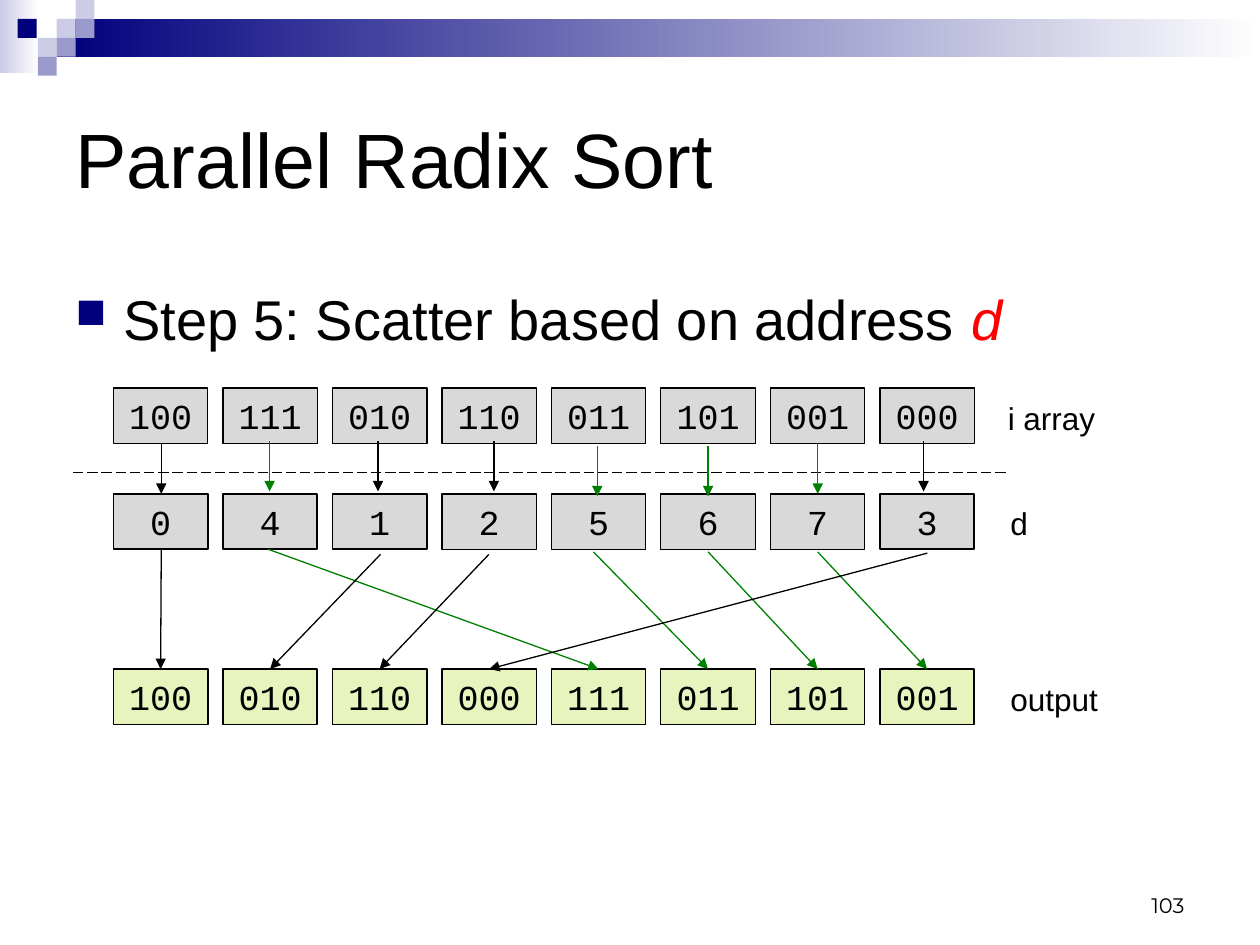
from lxml import etree
from pptx import Presentation
from pptx.dml.color import RGBColor
from pptx.enum.dml import MSO_LINE
from pptx.enum.shapes import MSO_CONNECTOR, MSO_SHAPE
from pptx.enum.text import MSO_ANCHOR, MSO_AUTO_SIZE, PP_ALIGN
from pptx.oxml.ns import qn
from pptx.util import Inches, Pt


def rgb(value):
    return RGBColor.from_string(value)


def add_line(x1, y1, x2, y2, color, arrow=True):
    line = slide.shapes.add_connector(
        MSO_CONNECTOR.STRAIGHT, Inches(x1), Inches(y1), Inches(x2), Inches(y2))
    line.line.color.rgb = rgb(color)
    line.line.width = Pt(0.75)
    if arrow:
        etree.SubElement(line.line._get_or_add_ln(), qn("a:tailEnd"), type="triangle")
    else:
        line.line.dash_style = MSO_LINE.LONG_DASH
    etree.SubElement(line._element.spPr, qn("a:effectLst"))


BLACK, GREEN, NAVY, LILAC, VIOLET = "000000", "008000", "00007D", "CCCCE6", "9999CC"
GRAY, LIME = "D9D9D9", "E7F4BE"

presentation = Presentation()
presentation.slide_width = Inches(10)
presentation.slide_height = Inches(7.5)
slide = presentation.slides.add_slide(presentation.slide_layouts[5])

# Header decoration: two gradient bars and a cluster of small squares
decorations = [
    (0, 0, 0.31, 0.58, LILAC, True),
    (0.45, 0.15, 9.55, 0.3, NAVY, True),
]
for left, top, color in [
    (0.45, 0.15, LILAC), (0.6, 0, LILAC), (0.6, 0.15, VIOLET), (0.3, 0.3, LILAC),
    (0.14, 0.15, NAVY), (0.45, 0.3, VIOLET), (0.3, 0.45, VIOLET),
]:
    decorations.append((left, top, 0.15, 0.15, color, False))
for left, top, width, height, color, fades in decorations:
    shape = slide.shapes.add_shape(
        MSO_SHAPE.RECTANGLE, Inches(left), Inches(top), Inches(width), Inches(height))
    shape.shadow.inherit = False
    shape.line.fill.background()
    if fades:
        shape.fill.gradient()
        shape.fill.gradient_angle = 0
        for stop, stop_color in zip(shape.fill.gradient_stops, (color, "FFFFFF")):
            stop.color.rgb = rgb(stop_color)
    else:
        shape.fill.solid()
        shape.fill.fore_color.rgb = rgb(color)

title = slide.shapes.title
title.left, title.top, title.width, title.height = (
    Inches(0.5), Inches(0.5), Inches(9), Inches(1.5))
title.text_frame.text = "Parallel Radix Sort"
title.text_frame.vertical_anchor = MSO_ANCHOR.MIDDLE
paragraph = title.text_frame.paragraphs[0]
paragraph.alignment = PP_ALIGN.LEFT
paragraph.font.name = "Arial"
paragraph.font.size = Pt(44)
paragraph.font.color.rgb = rgb(BLACK)

# Bulleted step
step = slide.shapes.add_textbox(Inches(0.5), Inches(2.17), Inches(9), Inches(0.67))
step.text_frame.word_wrap = True
step.text_frame.margin_top = Inches(0.09)
paragraph = step.text_frame.paragraphs[0]
properties = paragraph._p.get_or_add_pPr()
properties.set("marL", str(Inches(0.38)))
properties.set("indent", str(-Inches(0.38)))
bullet_color = etree.SubElement(properties, qn("a:buClr"))
etree.SubElement(bullet_color, qn("a:srgbClr"), val=NAVY)
etree.SubElement(properties, qn("a:buSzPct"), val="75000")
etree.SubElement(properties, qn("a:buChar"), char="■")
paragraph.font.name = "Arial"
paragraph.font.size = Pt(32)
for text, color in [("Step 5: Scatter based on address ", BLACK), ("d", "FF0000")]:
    run = paragraph.add_run()
    run.text = text
    run.font.color.rgb = rgb(color)
run.font.italic = True

add_line(0.58, 3.75, 8, 3.75, BLACK, arrow=False)

# Three rows of cells; each value moves to the output cell at its address
values = ["100", "111", "010", "110", "011", "101", "001", "000"]
addresses = [0, 4, 1, 2, 5, 6, 7, 3]
output = [values[addresses.index(position)] for position in range(8)]
first_left, pitch, cell_width, cell_height = 0.9, 0.869, 0.75, 0.44
bold_columns = (0, 1, 2, 7)
for row, top, fill, has_bold in [
    (addresses, 3.92, GRAY, True), (values, 3.08, GRAY, False), (output, 5.31, LIME, True),
]:
    for column, value in enumerate(row):
        cell = slide.shapes.add_shape(
            MSO_SHAPE.RECTANGLE, Inches(first_left + column * pitch), Inches(top),
            Inches(cell_width), Inches(cell_height))
        cell.shadow.inherit = False
        cell.fill.solid()
        cell.fill.fore_color.rgb = rgb(fill)
        cell.line.color.rgb = rgb(BLACK)
        cell.line.width = Pt(1 if has_bold and column in bold_columns else 0.75)
        frame = cell.text_frame
        frame.text = str(value)
        frame.word_wrap = True
        frame.auto_size = MSO_AUTO_SIZE.SHAPE_TO_FIT_TEXT
        frame.vertical_anchor = MSO_ANCHOR.TOP
        paragraph = frame.paragraphs[0]
        paragraph.alignment = PP_ALIGN.CENTER
        paragraph.font.name = "Courier New"
        paragraph.font.size = Pt(20)
        paragraph.font.color.rgb = rgb(BLACK)

for text, left, top, width in [
    ("i array", 7.9, 3.12, 0.9), ("d", 7.92, 3.95, 0.34), ("output", 7.92, 5.35, 0.9),
]:
    label = slide.shapes.add_textbox(Inches(left), Inches(top), Inches(width), Inches(0.4))
    label.text_frame.text = text
    label.text_frame.word_wrap = False
    label.text_frame.auto_size = MSO_AUTO_SIZE.SHAPE_TO_FIT_TEXT
    paragraph = label.text_frame.paragraphs[0]
    paragraph.font.name = "Arial"
    paragraph.font.size = Pt(18)
    paragraph.font.color.rgb = rgb(BLACK)

# Per column: x and top of the short arrow, then start of the scatter arrow
arrow_starts = [
    (1.28, 3.52, 1.28, 4.35), (2.14, 3.5, 2.13, 4.36),
    (3, 3.5, 3.02, 4.4), (3.92, 3.5, 3.88, 4.4),
    (4.74, 3.54, 4.71, 4.38), (5.62, 3.54, 5.62, 4.38),
    (6.49, 3.52, 6.49, 4.38), (7.33, 3.5, 7.36, 4.39),
]
for value, address, (x, top, scatter_x, scatter_top) in zip(values, addresses, arrow_starts):
    color = GREEN if value.endswith("1") else BLACK
    target_x = first_left + address * pitch + cell_width / 2
    add_line(x, top, x, top + 0.4, color)
    add_line(scatter_x, scatter_top, target_x, 5.31, color)

number = slide.shapes.add_textbox(Inches(7.17), Inches(6.83), Inches(2.33), Inches(0.5))
number.text_frame.text = "103"
number.text_frame.word_wrap = True
number.text_frame.vertical_anchor = MSO_ANCHOR.BOTTOM
paragraph = number.text_frame.paragraphs[0]
paragraph.alignment = PP_ALIGN.RIGHT
paragraph.font.name = "Montserrat"
paragraph.font.size = Pt(12)
paragraph.font.color.rgb = rgb(BLACK)

presentation.save("out.pptx")
